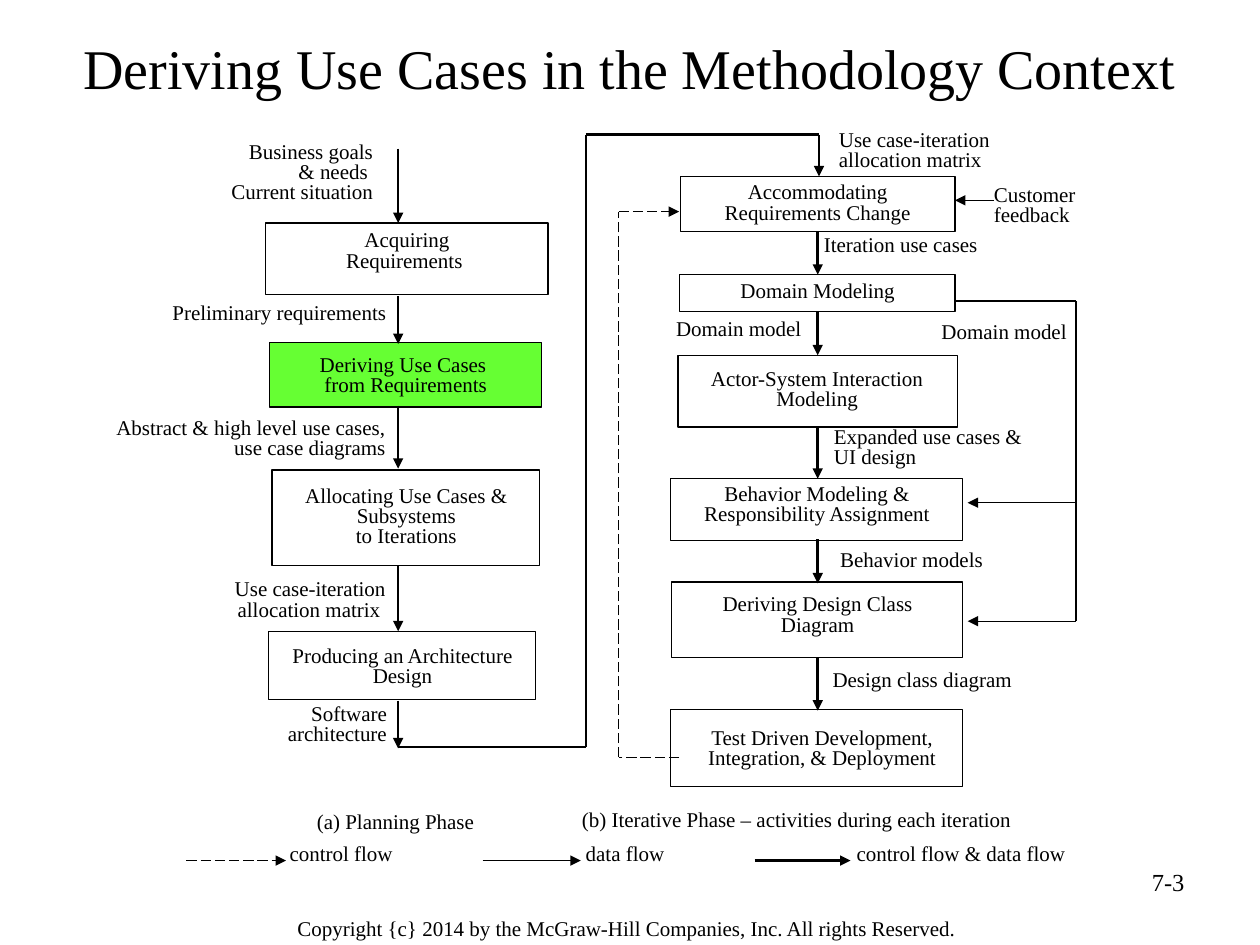
import pptx
import pptx.util
import pptx.dml.color
import pptx.enum.dml
import pptx.enum.shapes
import pptx.enum.text
from lxml import etree
from itertools import pairwise

PX = 9144  # EMU in one px, 100 px to the inch
FONT = "Times New Roman"
HUES = {"ink": "000000", "paper": "FFFFFF", "focus": "66FF33"}
THIN, BOLD = 0.75, 1.5

TITLE = ("Deriving Use Cases in the Methodology Context", (50, 16, 900, 75))

# Activities: box, fill, text area, paragraphs
STEPS = [
    ((211, 177, 224, 57), None, (217, 179, 212, 48),
     ["Acquiring", "Requirements "]),
    ((214, 272, 216, 51), "focus", (226, 278, 192, 49),
     ["Deriving Use Cases ", "from Requirements"]),
    ((216, 373, 212, 76), "paper", (220, 382, 205, 71),
     ["Allocating Use Cases & Subsystems", "to Iterations"]),
    ((213, 501, 212, 54), "paper", (217, 509, 205, 53),
     ["Producing an Architecture Design"]),
    ((540, 140, 218, 44), "paper", (540, 141, 218, 52),
     ["Accommodating", "Requirements Change"]),
    ((539, 218, 219, 29), None, (559, 219, 180, 36), ["Domain Modeling"]),
    ((538, 282, 222, 57), "paper", (526, 289, 245, 64),
     ["Actor-System Interaction Modeling"]),
    ((532, 380, 232, 49), "paper", (528, 380, 241, 48),
     ["Behavior Modeling &", "Responsibility Assignment"]),
    ((533, 462, 231, 60), "paper", (536, 468, 226, 47),
     ["Deriving Design Class", "Diagram"]),
    ((532, 563, 232, 61), "paper", (528, 574, 249, 61),
     ["Test Driven Development, Integration, & Deployment"]),
]

# Flow labels, phase names and legend: area, alignment, paragraphs
LABELS = [
    ((138, 109, 168, 76), "r",
     ["Business goals", "& needs ", "Current situation"]),
    ((127, 237, 194, 32), "l", ["Preliminary requirements"]),
    ((72, 328, 244, 53), "r",
     ["Abstract & high level use cases, use case diagrams"]),
    ((115, 456, 201, 55), "r", ["Use case-iteration allocation matrix "]),
    ((182, 555, 135, 53), "r", ["Software architecture"]),
    ((656, 99, 201, 55), "l", ["Use case-iteration allocation matrix"]),
    ((779, 143, 118, 61), "l", ["Customer", "feedback"]),
    ((644, 183, 202, 35), "l", ["Iteration use cases"]),
    ((496, 249, 150, 28), "r", ["Domain model"]),
    ((722, 252, 150, 28), "c", ["Domain model"]),
    ((652, 335, 189, 54), "l", ["Expanded use cases & UI design"]),
    ((657, 433, 140, 31), "l", ["Behavior models"]),
    ((651, 528, 257, 35), "l", ["Design class diagram"]),
    ((201, 641, 226, 35), "c", ["(a) Planning Phase"]),
    ((452, 639, 465, 35), "l",
     ["(b) Iterative Phase – activities during each iteration"]),
    ((220, 666, 159, 35), "l", ["control flow"]),
    ((455, 666, 145, 35), "l", ["data flow"]),
    ((670, 666, 255, 35), "l", ["control flow & data flow"]),
]

# Page marks: area, alignment, text, size
MARKS = [
    ((717, 683, 233, 52), "r", "7-3", 14),
    ((188, 722, 619, 31), "c", "Copyright {c} 2014 by the McGraw-Hill "
     "Companies, Inc. All rights Reserved.", 12),
]

# Straight-down arrows: x, then (top, bottom) of each
DROPS = [
    (316, [(118, 177), (235, 273), (322, 372), (449, 501), (556, 594)]),
    (649, [(184, 218), (248, 282), (339, 380), (428, 463), (522, 564)]),
]

# Other flows: weight, dashed, corner points; the arrowhead is at the end
ROUTES = [
    (BOLD, False, [(316, 593), (465, 593), (465, 107), (650, 107), (650, 140)]),
    (THIN, True, [(539, 601), (491, 601), (491, 168), (539, 168)]),
    (THIN, False, [(758, 239), (854, 239), (854, 493), (768, 493)]),
    (THIN, False, [(854, 399), (768, 399)]),
    (THIN, False, [(789, 159), (758, 159)]),
    (THIN, True, [(148, 683), (227, 683)]),
    (THIN, False, [(383, 683), (461, 683)]),
    (BOLD, False, [(599, 683), (675, 683)]),
]

ALIGN = {
    "l": pptx.enum.text.PP_ALIGN.LEFT,
    "c": pptx.enum.text.PP_ALIGN.CENTER,
    "r": pptx.enum.text.PP_ALIGN.RIGHT,
}


def hue(name):
    return pptx.dml.color.RGBColor.from_string(HUES[name])


def emu(area):
    return [n * PX for n in area]


def write(frame, lines, size, side, gap=None):
    frame.word_wrap = True
    frame.auto_size = pptx.enum.text.MSO_AUTO_SIZE.NONE
    for i, line in enumerate(lines):
        para = frame.add_paragraph() if i else frame.paragraphs[0]
        para.alignment = ALIGN[side]
        para.line_spacing = gap
        run = para.add_run()
        run.text = line
        run.font.name = FONT
        run.font.size = pptx.util.Pt(size)
        run.font.color.rgb = hue("ink")


def label(slide, area, side, lines, size=12, gap=0.8):
    box = slide.shapes.add_textbox(*emu(area))
    write(box.text_frame, lines, size, side, gap)


def panel(slide, area, fill):
    box = slide.shapes.add_shape(
        pptx.enum.shapes.MSO_SHAPE.RECTANGLE, *emu(area))
    box.shadow.inherit = False
    if fill:
        box.fill.solid()
        box.fill.fore_color.rgb = hue(fill)
    else:
        box.fill.background()
    box.line.color.rgb = hue("ink")
    box.line.width = pptx.util.Pt(THIN)


def route(slide, width, dashed, points):
    for start, end in pairwise(points):
        line = slide.shapes.add_connector(
            pptx.enum.shapes.MSO_CONNECTOR.STRAIGHT, *emu(start + end))
        line.line.color.rgb = hue("ink")
        line.line.width = pptx.util.Pt(width)
        if dashed:
            line.line.dash_style = pptx.enum.dml.MSO_LINE.LONG_DASH
        props = line._element.spPr
        space = "{" + props.nsmap["a"] + "}"
        if end == points[-1]:
            etree.SubElement(props.find(space + "ln"), space + "tailEnd",
                             type="triangle")
        etree.SubElement(props, space + "effectLst")


def main():
    deck = pptx.Presentation()
    deck.slide_width, deck.slide_height = emu((1000, 750))
    slide = deck.slides.add_slide(deck.slide_layouts[5])

    # Title
    text, area = TITLE
    head = slide.shapes.title
    head.left, head.top, head.width, head.height = emu(area)
    head.text_frame.vertical_anchor = pptx.enum.text.MSO_ANCHOR.MIDDLE
    write(head.text_frame, [text], 32, "c")

    # Activities
    for box, fill, area, lines in STEPS:
        panel(slide, box, fill)
        label(slide, area, "c", lines)

    # Flows
    for x, spans in DROPS:
        for top, end in spans:
            route(slide, BOLD, False, [(x, top), (x, end)])
    for width, dashed, points in ROUTES:
        route(slide, width, dashed, points)

    # Labels and page marks
    for area, side, lines in LABELS:
        label(slide, area, side, lines)
    for area, side, text, size in MARKS:
        label(slide, area, side, [text], size, None)

    deck.save("out.pptx")


if __name__ == "__main__":
    main()
